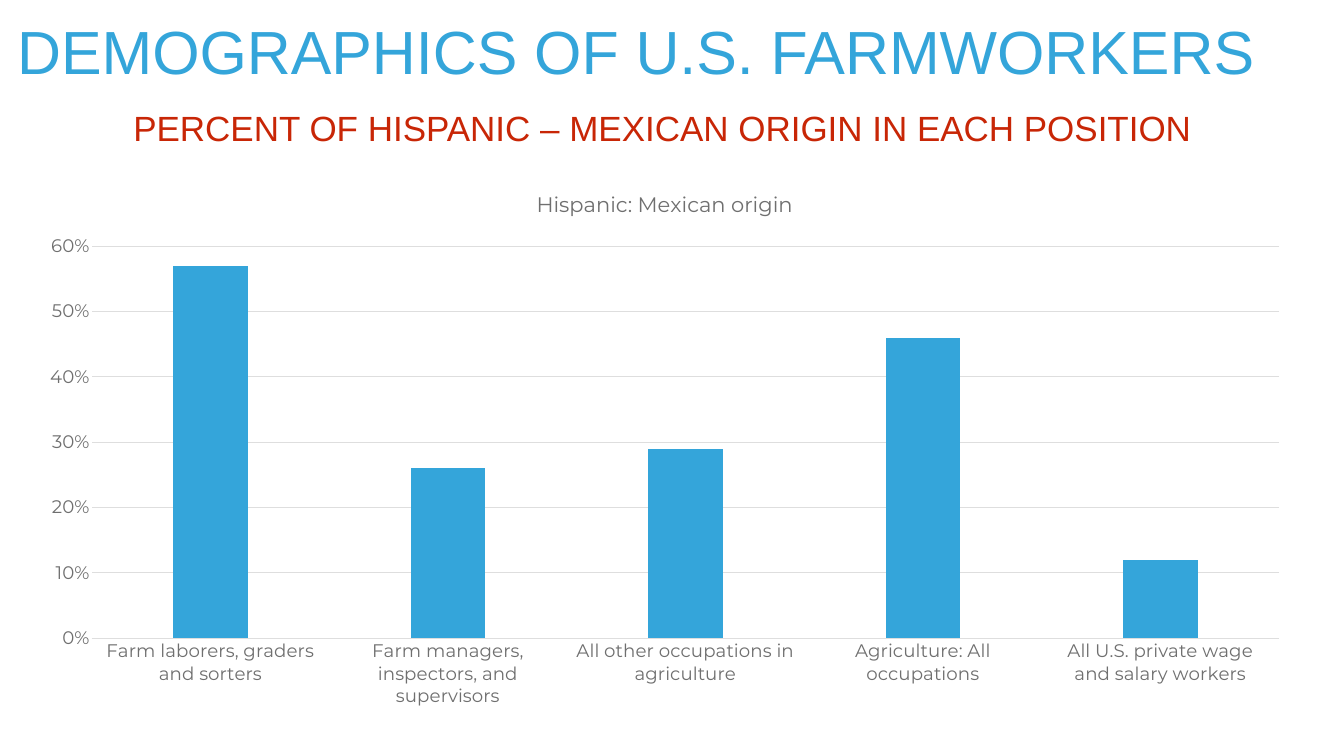
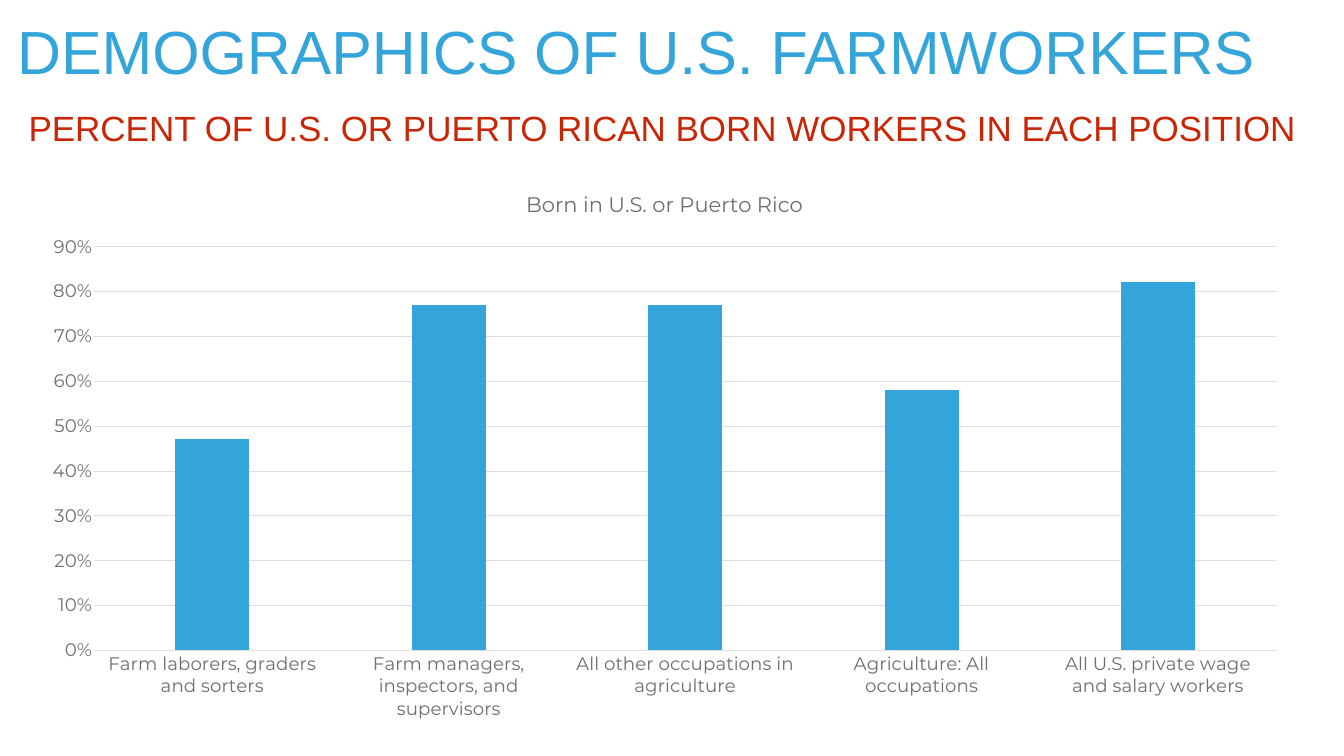
"""Build two column-chart slides on the demographics of U.S. farmworkers."""
from dataclasses import dataclass

from pptx import Presentation
from pptx.chart.data import CategoryChartData
from pptx.dml.color import RGBColor
from pptx.enum.chart import XL_CHART_TYPE, XL_TICK_MARK
from pptx.enum.text import MSO_ANCHOR, MSO_AUTO_SIZE, PP_ALIGN
from pptx.util import Cm, Pt


@dataclass(frozen=True)
class Theme:
    blue: str = "34A5DA"
    red: str = "C82606"
    grey: str = "6F6F6F"
    rule: str = "DEDEDE"
    heading_font: str = "Arial"
    chart_font: str = "Montserrat"
    title_size: int = 87
    subtitle_size: int = 50
    chart_title_size: int = 30
    axis_size: int = 26
    rule_width: float = 0.75


TITLE = "DEMOGRAPHICS OF U.S. FARMWORKERS"
POSITIONS = [
    "Farm laborers, graders and sorters",
    "Farm managers, inspectors, and supervisors",
    "All other occupations in agriculture",
    "Agriculture: All occupations",
    "All U.S. private wage and salary workers",
]
SLIDES = [
    {
        "subtitle": "PERCENT OF HISPANIC – MEXICAN ORIGIN IN EACH POSITION",
        "series": "Hispanic: Mexican origin",
        "shares": [0.57, 0.26, 0.29, 0.46, 0.12],
        "top": 0.6,
        "area": (1.24, 8.66, 64.52, 27.56),
    },
    {
        "subtitle": "PERCENT OF U.S. OR PUERTO RICAN BORN WORKERS IN EACH POSITION",
        "series": "Born in U.S. or Puerto Rico",
        "shares": [0.47, 0.77, 0.77, 0.58, 0.82],
        "top": 0.9,
        "area": (1.37, 8.66, 64.24, 28.19),
    },
]


class DeckBuilder:
    def __init__(self, theme):
        self.theme = theme
        self.deck = Presentation()
        self.deck.slide_width = Cm(67.74)
        self.deck.slide_height = Cm(38.1)
        self.slide = None

    def add_slide(self):
        self.slide = self.deck.slides.add_slide(self.deck.slide_layouts[5])

    def style_font(self, font, name, size, color):
        font.name = name
        font.size = Pt(size)
        font.bold = False
        font.color.rgb = RGBColor.from_string(color)

    def style_rule(self, line):
        line.color.rgb = RGBColor.from_string(self.theme.rule)
        line.width = Pt(self.theme.rule_width)

    def write_heading(self, box, text, size, color, align, anchor):
        frame = box.text_frame
        frame.word_wrap = True
        frame.auto_size = MSO_AUTO_SIZE.NONE
        frame.vertical_anchor = anchor
        frame.margin_left = frame.margin_right = Cm(0.15)
        frame.margin_top = frame.margin_bottom = Cm(0.15)
        para = frame.paragraphs[0]
        para.text = text
        para.alignment = align
        para.line_spacing = 0.8
        self.style_font(para.font, self.theme.heading_font, size, color)

    def add_title(self, text):
        box = self.slide.shapes.title
        box.left, box.top, box.width, box.height = map(Cm, (0.71, 1.24, 66.12, 3.33))
        self.write_heading(box, text, self.theme.title_size, self.theme.blue,
                           PP_ALIGN.LEFT, MSO_ANCHOR.TOP)

    def add_subtitle(self, text):
        box = self.slide.shapes.add_textbox(*map(Cm, (0, 5.61, 66.83, 2.01)))
        self.write_heading(box, text, self.theme.subtitle_size, self.theme.red,
                           PP_ALIGN.CENTER, MSO_ANCHOR.MIDDLE)

    def add_column_chart(self, series, shares, top, area):
        theme = self.theme
        chart_data = CategoryChartData(number_format="0%")
        chart_data.categories = POSITIONS
        chart_data.add_series(series, shares)
        chart = self.slide.shapes.add_chart(
            XL_CHART_TYPE.COLUMN_CLUSTERED, *map(Cm, area), chart_data).chart
        chart.has_legend = False
        self.style_font(chart.font, theme.chart_font, theme.axis_size, theme.grey)

        chart.has_title = True
        chart.chart_title.include_in_layout = False
        para = chart.chart_title.text_frame.paragraphs[0]
        para.text = series
        self.style_font(para.font, theme.chart_font, theme.chart_title_size, theme.grey)

        plot = chart.plots[0]
        plot.gap_width = 219
        plot.overlap = -27
        plot.vary_by_categories = False
        columns = plot.series[0]
        columns.invert_if_negative = False
        columns.format.fill.solid()
        columns.format.fill.fore_color.rgb = RGBColor.from_string(theme.blue)

        for axis in (chart.category_axis, chart.value_axis):
            axis.major_tick_mark = axis.minor_tick_mark = XL_TICK_MARK.NONE
            self.style_font(axis.tick_labels.font, theme.chart_font,
                            theme.axis_size, theme.grey)
        self.style_rule(chart.category_axis.format.line)

        value_axis = chart.value_axis
        value_axis.minimum_scale = 0
        value_axis.maximum_scale = top
        value_axis.major_unit = 0.1
        value_axis.tick_labels.number_format = "0%"
        value_axis.tick_labels.number_format_is_linked = False
        value_axis.format.line.fill.background()
        self.style_rule(value_axis.major_gridlines.format.line)


def main():
    builder = DeckBuilder(Theme())
    for content in SLIDES:
        builder.add_slide()
        builder.add_title(TITLE)
        builder.add_subtitle(content["subtitle"])
        builder.add_column_chart(content["series"], content["shares"],
                                 content["top"], content["area"])
    builder.deck.save("out.pptx")


if __name__ == "__main__":
    main()
